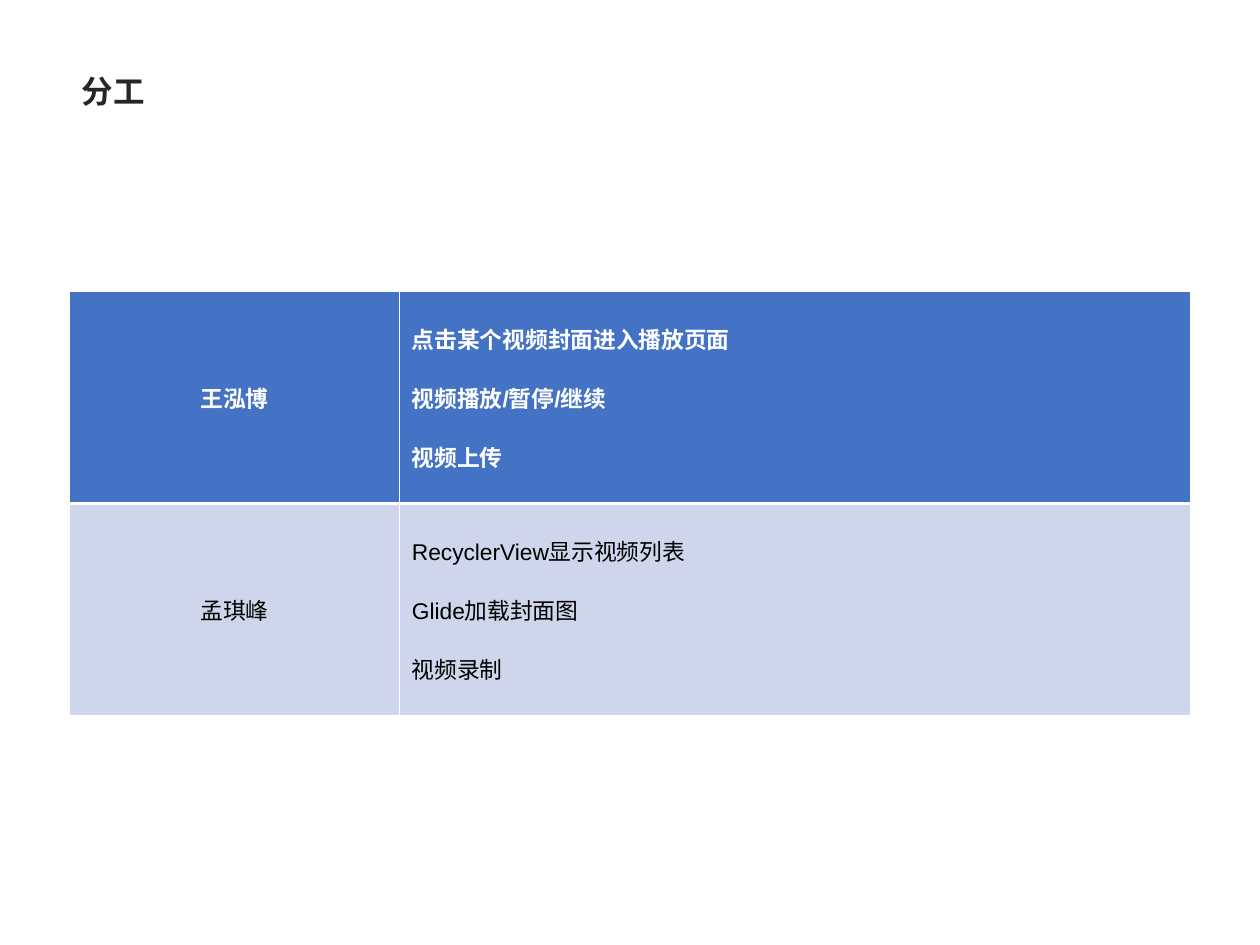
from dataclasses import dataclass

from lxml.etree import fromstring
from pptx import Presentation
from pptx.dml.color import RGBColor
from pptx.enum.text import MSO_ANCHOR, PP_ALIGN
from pptx.oxml.ns import nsdecls
from pptx.util import Cm, Pt

COLORS = {"title": "262626", "white": "FFFFFF", "black": "000000",
          "blue": "4472C4", "pale": "CFD5EA"}
THIN, THICK = Pt(0.45), Pt(1.47)


@dataclass
class Member:
    name: str
    tasks: list[str]
    fill: str
    color: str
    bold: bool
    edges: dict[str, int]


MEMBERS = [
    Member("王泓博", ["点击某个视频封面进入播放页面", "视频播放/暂停/继续", "视频上传"],
           "blue", "white", True, {"L": THIN, "R": THIN, "T": THIN, "B": THICK}),
    Member("孟琪峰", ["RecyclerView显示视频列表", "Glide加载封面图", "视频录制"],
           "pale", "black", False, {"L": THIN, "R": THIN, "T": THICK, "B": THIN}),
]


def write(tf, lines: list[str], align, size: float, color: str, bold: bool) -> None:
    """Write one paragraph per line, with an even gap between them."""
    for i, line in enumerate(lines):
        p = tf.paragraphs[0] if i == 0 else tf.add_paragraph()
        p.alignment = align
        if i:
            p.space_before = Pt(15)
        r = p.add_run()
        r.text = line
        for key, value in {"name": "Arial", "size": Pt(size), "bold": bold}.items():
            setattr(r.font, key, value)
        r.font.color.rgb = RGBColor.from_string(COLORS[color])


def style_cell(cell, member: Member) -> None:
    """Fill a cell, centre it vertically and draw its borders."""
    cell.vertical_anchor = MSO_ANCHOR.MIDDLE
    cell.fill.solid()
    cell.fill.fore_color.rgb = RGBColor.from_string(COLORS[member.fill])
    tcPr = cell._tc.get_or_add_tcPr()
    for i, (side, width) in enumerate(member.edges.items()):
        tcPr.insert(i, fromstring(
            f'<a:ln{side} {nsdecls("a")} w="{int(width)}"><a:solidFill>'
            f'<a:srgbClr val="{COLORS["white"]}"/></a:solidFill></a:ln{side}>'))


def add_title(s, text: str) -> None:
    """Add the slide title."""
    tf = s.shapes.add_textbox(Cm(1.4), Cm(1.22), Cm(22.6), Cm(1.22)).text_frame
    for key, value in {"word_wrap": True, "vertical_anchor": MSO_ANCHOR.MIDDLE}.items():
        setattr(tf, key, value)
    write(tf, [text], PP_ALIGN.LEFT, 18, "title", True)


def add_members(s, members: list[Member]) -> None:
    """Add the table of members and their tasks."""
    height = Cm(4.27)
    table = s.shapes.add_table(len(members), 2, Cm(1.4), Cm(5.88),
                               Cm(22.6), height * len(members)).table
    for key in ("first_row", "horz_banding"):
        setattr(table, key, False)
    for col, width in zip(table.columns, (6.65, 15.95)):
        col.width = Cm(width)
    for row, member in zip(table.rows, members):
        row.height = height
        columns = (([member.name], PP_ALIGN.CENTER), (member.tasks, PP_ALIGN.LEFT))
        for cell, (lines, align) in zip(row.cells, columns):
            style_cell(cell, member)
            write(cell.text_frame, lines, align, 13, member.color, member.bold)


def main() -> None:
    """Build the slide and save it."""
    prs = Presentation()
    prs.slide_width, prs.slide_height = Cm(25.4), Cm(19.05)
    s = prs.slides.add_slide(prs.slide_layouts[6])
    add_title(s, "分工")
    add_members(s, MEMBERS)
    prs.save("out.pptx")


if __name__ == "__main__":
    main()
